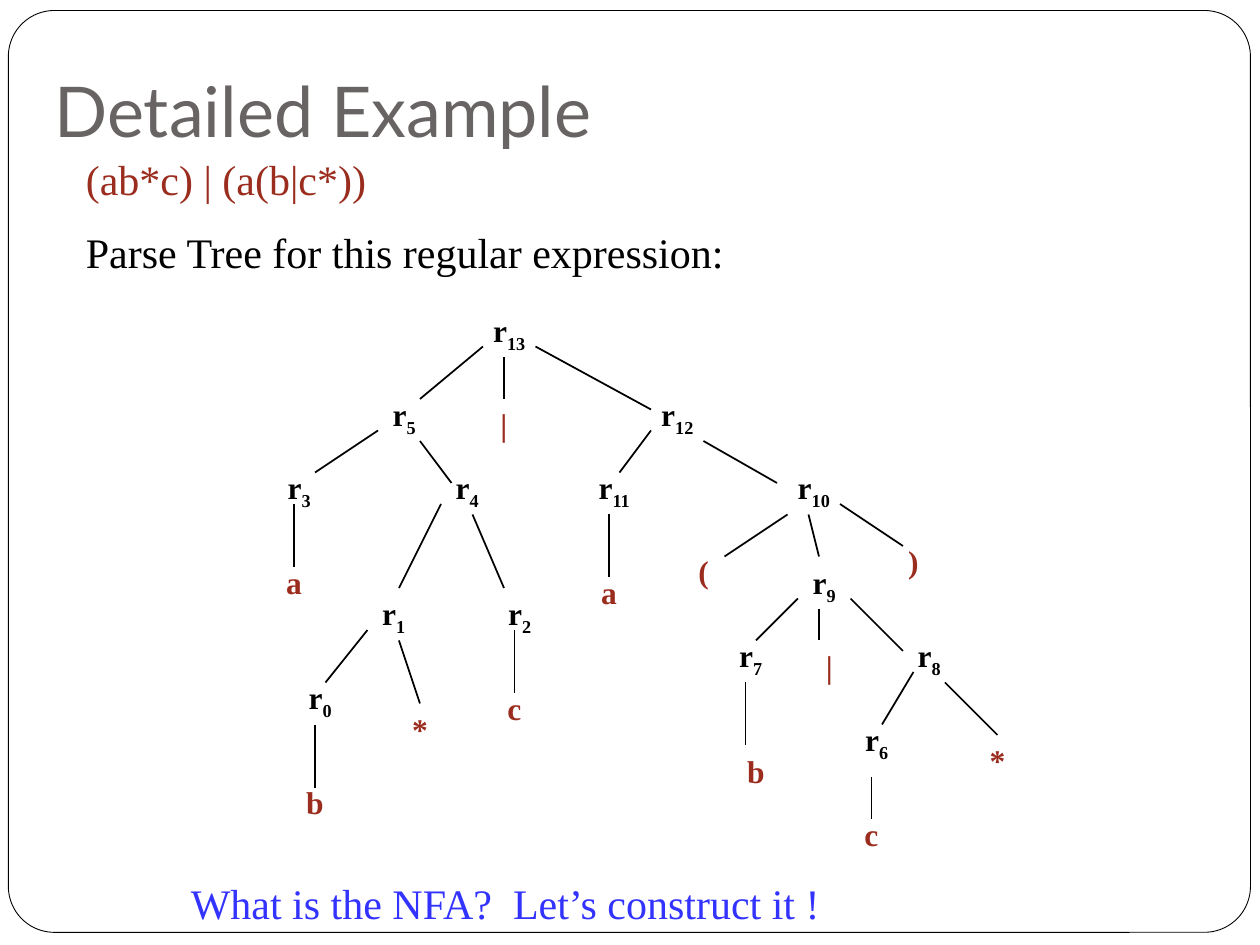
from pptx import Presentation
from pptx import util as u
from pptx.dml.color import RGBColor
from pptx.enum import shapes, text
from pptx.oxml.ns import qn
from lxml import etree

PX = 7620    # EMU in one px: 120 px to the inch
GRID = 10    # px in one step of the tree grid
NODE_WIDTH, LEAF_WIDTH, LABEL_HEIGHT = 90, 60, 48
COLOURS = {"white": "FFFFFF", "black": "000000", "title": "696464",
           "symbol": "9B2D1F", "question": "3333FF"}

# Number of each subexpression r and the grid place of its label
NODES = [(13, 44, 29), (5, 34, 37), (12, 60, 37), (3, 24, 44), (4, 40, 44),
         (11, 54, 44), (10, 73, 44), (9, 74, 53), (1, 33, 56), (2, 45, 56),
         (7, 67, 60), (8, 84, 60), (0, 26, 64), (6, 79, 68)]
LEAVES = [("|", 45, 38), (")", 84, 51), ("(", 64, 52), ("a", 25, 53),
          ("a", 55, 54), ("|", 76, 61), ("c", 46, 65), ("*", 37, 67),
          ("*", 92, 70), ("b", 69, 71), ("b", 27, 74), ("c", 80, 77)]
# Grid ends of each branch, from parent to child
BRANCHES = [
    (46, 33, 40, 38), (48, 34, 48, 38), (51, 33, 62, 39),
    (36, 41, 30, 45), (40, 42, 43, 46), (62, 41, 59, 45), (67, 42, 74, 46),
    (28, 48, 28, 54), (42, 48, 38, 56), (45, 49, 48, 56), (58, 49, 58, 55),
    (75, 49, 69, 53), (77, 49, 78, 53), (80, 48, 86, 52),
    (76, 57, 72, 61), (78, 58, 78, 61), (81, 57, 86, 62),
    (35, 60, 31, 65), (38, 61, 40, 67), (49, 60, 49, 66),
    (71, 65, 71, 71), (87, 64, 84, 69), (90, 65, 95, 70),
    (30, 69, 30, 75), (83, 74, 83, 78),
]


class SlideBuilder:
    def __init__(self, slide, font, title_font):
        self.slide = slide
        self.font = font
        self.title_font = title_font

    def colour(self, name):
        return RGBColor.from_string(COLOURS[name])

    def style(self, span, size, colour, bold=False, font=None):
        span.font.name = font or self.font
        span.font.size = u.Pt(size)
        span.font.bold = bold
        span.font.color.rgb = self.colour(colour)

    def title(self, wording, left, top, width, height):
        box = self.slide.shapes.title
        box.left, box.top, box.width, box.height = (
            n * PX for n in (left, top, width, height))
        frame = box.text_frame
        frame.text = wording
        frame.auto_size = text.MSO_AUTO_SIZE.NONE
        frame.vertical_anchor = text.MSO_ANCHOR.BOTTOM
        para = frame.paragraphs[0]
        para.alignment = text.PP_ALIGN.LEFT
        self.style(para.runs[0], 40, "title", font=self.title_font)

    def border(self, left, top, width, height):
        """Rounded page border, placed behind the title."""
        box = self.slide.shapes.add_shape(
            shapes.MSO_SHAPE.ROUNDED_RECTANGLE,
            *(n * PX for n in (left, top, width, height)))
        box.adjustments[0] = 0.05
        box.shadow.inherit = False
        box.fill.solid()
        box.fill.fore_color.rgb = self.colour("white")
        box.line.color.rgb = self.colour("black")
        box.line.width = u.Pt(0.5)
        self.slide.shapes.title._element.addprevious(box._element)

    def text_box(self, wording, left, top, width, height):
        box = self.slide.shapes.add_textbox(
            *(n * PX for n in (left, top, width, height)))
        frame = box.text_frame
        frame.word_wrap = True
        frame.auto_size = text.MSO_AUTO_SIZE.SHAPE_TO_FIT_TEXT
        frame.text = wording
        return box

    def lines(self, wording, colours, left, top, width, height):
        """Running text with one colour for each paragraph."""
        box = self.text_box(wording, left, top, width, height)
        for index, (para, colour) in enumerate(
                zip(box.text_frame.paragraphs, colours)):
            para.space_before = u.Pt(13 if index else 0)
            self.style(para.runs[0], 24, colour)

    def label(self, wording, colour, left, top, width, subscript=None):
        box = self.text_box(wording, left, top, width, LABEL_HEIGHT)
        para = box.text_frame.paragraphs[0]
        para.alignment = text.PP_ALIGN.CENTER
        if subscript is not None:
            span = para.add_run()
            span.text = str(subscript)
            span.font._element.set("baseline", "-25000")
        for span in para.runs:
            self.style(span, 18, colour, bold=True)
        return box

    def branch(self, ends, child=None):
        """Line between two points, joined to the top of child if given."""
        line = self.slide.shapes.add_connector(
            shapes.MSO_CONNECTOR.STRAIGHT, *(n * PX for n in ends))
        line.line.color.rgb = self.colour("black")
        line.line.width = u.Pt(1)
        etree.SubElement(line._element.spPr, qn("a:effectLst"))
        if child is not None:
            line.end_connect(child, 0)


def main():
    deck = Presentation()
    deck.slide_width, deck.slide_height = 1200 * PX, 900 * PX
    page = SlideBuilder(deck.slides.add_slide(deck.slide_layouts[5]),
                        "Times New Roman", "Lato")
    page.border(8, 10, 1183, 878)
    page.title("Detailed Example", 40, 0, 1000, 150)

    for number, x, y in NODES:
        page.label("r", "black", x * GRID, y * GRID, NODE_WIDTH, number)
    leaf_tops = {}
    for symbol, x, y in LEAVES:
        left, top = x * GRID, y * GRID
        leaf_tops[left + LEAF_WIDTH // 2, top] = page.label(
            symbol, "symbol", left, top, LEAF_WIDTH)
    for branch in BRANCHES:
        ends = [n * GRID for n in branch]
        page.branch(ends, leaf_tops.get(tuple(ends[2:])))

    page.lines("(ab*c) | (a(b|c*))\nParse Tree for this regular expression:",
               ["symbol", "black"], 70, 140, 980, 128)
    page.lines("What is the NFA?  Let’s construct it !",
               ["question"], 170, 830, 730, 60)
    deck.save("out.pptx")


if __name__ == "__main__":
    main()
